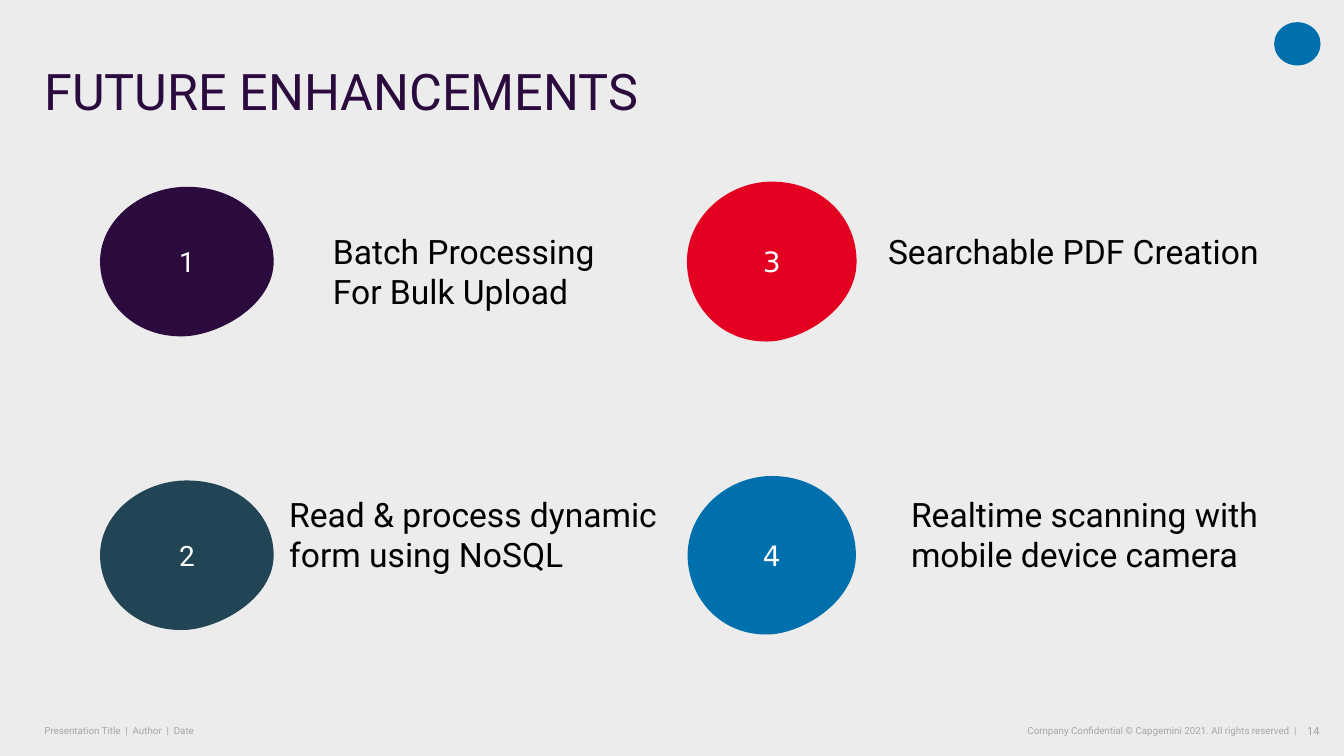
from dataclasses import dataclass

from lxml.etree import SubElement
from pptx import Presentation
from pptx.dml.color import RGBColor
from pptx.enum.shapes import MSO_SHAPE
from pptx.enum.text import MSO_ANCHOR as Anchor, MSO_AUTO_SIZE as AutoSize, PP_ALIGN as Align
from pptx.oxml.ns import qn
from pptx.util import Cm, Pt

BLOB_START = (0, 0.5)
# Bezier segments in a unit square: two control points and an end point
BLOB_CURVES = [
    ((0, 0.22), (0.24, 0), (0.5, 0)),
    ((0.79, 0), (1, 0.22), (1, 0.5)),
    ((1, 0.78), (0.71, 0.98), (0.5, 1)),
    ((0.2, 1.02), (0, 0.77), BLOB_START),
]
ROW_CENTERS = (6.59, 13.99)
LABEL_TOPS = (5.69, 12.32)


@dataclass
class Column:
    center: float
    blob_width: float
    blob_height: float
    number_font: str


@dataclass
class Enhancement:
    number: int
    lines: list[str]
    color: str
    label_left: float
    label_width: float = 10.34
    label_height: float = 2.31
    outlined: bool = True


@dataclass
class FooterPart:
    text: str
    left: float
    width: float
    size: int = 7
    align: Align = Align.RIGHT


COLUMNS = [
    Column(4.71, 4.34, 3.73, "Roboto"),
    Column(19.45, 4.24, 3.99, "DejaVu Sans"),
]
ENHANCEMENTS = [
    Enhancement(1, ["Batch Processing", "For Bulk Upload"], "2B0A3D", 8.14),
    Enhancement(2, ["Read & process dynamic form using NoSQL"], "214554", 7.04),
    Enhancement(3, ["Searchable PDF Creation"], "E30021", 22.13, label_height=1.27),
    Enhancement(4, ["Realtime scanning with mobile device camera"], "0070AD", 22.71,
                label_width=10.44, outlined=False),
]
FOOTER = [
    FooterPart("Presentation Title  |  Author  |  Date", 1.12, 9.47, align=Align.LEFT),
    FooterPart("Company Confidential © Capgemini 2021. All rights reserved  |", 20.07, 12.6),
    FooterPart("14", 32.62, 0.64, size=8),
]


def paint(format_owner, color: str) -> None:
    """Give a fill or a font a solid colour from a hex string."""
    if hasattr(format_owner, "solid"):
        format_owner.solid()
        format_owner.fore_color.rgb = RGBColor.from_string(color)
    else:
        format_owner.color.rgb = RGBColor.from_string(color)


def style(paragraph, size: int, color: str, align: Align = Align.LEFT,
          font_name: str = "Roboto") -> None:
    paragraph.alignment = align
    paragraph.font.size = Pt(size)
    paragraph.font.name = font_name
    paint(paragraph.font, color)


def remove_insets(frame) -> None:
    frame.margin_left = frame.margin_right = frame.margin_top = frame.margin_bottom = 0


def round_outline(blob) -> None:
    """Turn each straight segment of the blob into its Bezier curve."""
    for segment, curve in zip(blob.element.xpath(".//a:lnTo"), BLOB_CURVES):
        segment.clear()
        bezier = SubElement(segment.getparent(), qn("a:cubicBezTo"))
        segment.getparent().replace(segment, bezier)
        for x, y in curve:
            SubElement(bezier, qn("a:pt"), x=str(round(x * blob.width)),
                       y=str(round(y * blob.height)))


def add_blob(slide, item: Enhancement, column: Column, center_y: float) -> None:
    left = column.center - column.blob_width / 2
    top = center_y - column.blob_height / 2
    corners = [(Cm(left + x * column.blob_width), Cm(top + y * column.blob_height))
               for x, y in (BLOB_START, *(curve[-1] for curve in BLOB_CURVES))]
    builder = slide.shapes.build_freeform(*corners[0])
    builder.add_line_segments(corners[1:], close=True)
    blob = builder.convert_to_shape()
    round_outline(blob)
    blob.shadow.inherit = False
    paint(blob.fill, item.color)
    if item.outlined:
        paint(blob.line.fill, item.color)
        blob.line.width = Pt(1)
    else:
        blob.line.fill.background()
    frame = blob.text_frame
    frame.vertical_anchor = Anchor.MIDDLE
    frame.text = str(item.number)
    style(frame.paragraphs[0], 20, "FFFFFF", Align.CENTER, column.number_font)


def add_label(slide, item: Enhancement, top: float) -> None:
    label = slide.shapes.add_textbox(Cm(item.label_left), Cm(top),
                                     Cm(item.label_width), Cm(item.label_height))
    frame = label.text_frame
    frame.word_wrap = True
    frame.text = "\n".join(item.lines)
    for paragraph in frame.paragraphs:
        style(paragraph, 24, "000000")


def add_footer_part(slide, part: FooterPart) -> None:
    box = slide.shapes.add_textbox(Cm(part.left), Cm(18.11), Cm(part.width), Cm(0.61))
    frame = box.text_frame
    frame.word_wrap = True
    remove_insets(frame)
    frame.vertical_anchor = Anchor.MIDDLE
    frame.text = part.text
    style(frame.paragraphs[0], part.size, "A6A6A6", part.align)


def add_title(slide, text: str) -> None:
    title = slide.shapes.title
    title.left, title.top, title.width, title.height = Cm(1.12), Cm(1.07), Cm(30.4), Cm(1.98)
    frame = title.text_frame
    frame.auto_size = AutoSize.NONE
    remove_insets(frame)
    frame.vertical_anchor = Anchor.BOTTOM
    frame.text = text
    frame.paragraphs[0].line_spacing = 0.9
    style(frame.paragraphs[0], 36, "2B0A3D")


def add_emblem(slide) -> None:
    emblem = slide.shapes.add_shape(MSO_SHAPE.OVAL, Cm(32.11), Cm(0.56), Cm(1.17), Cm(1.09))
    emblem.shadow.inherit = False
    paint(emblem.fill, "0070AD")
    emblem.line.fill.background()


def main() -> None:
    deck = Presentation()
    deck.slide_width, deck.slide_height = Cm(33.87), Cm(19.05)
    slide = deck.slides.add_slide(deck.slide_layouts.get_by_name("Title Only"))
    paint(slide.background.fill, "ECECEC")
    add_emblem(slide)
    add_title(slide, "FUTURE ENHANCEMENTS")
    for index, item in enumerate(ENHANCEMENTS):
        column, row = divmod(index, len(ROW_CENTERS))
        add_blob(slide, item, COLUMNS[column], ROW_CENTERS[row])
        add_label(slide, item, LABEL_TOPS[row])
    for part in FOOTER:
        add_footer_part(slide, part)
    deck.save("out.pptx")


if __name__ == "__main__":
    main()
